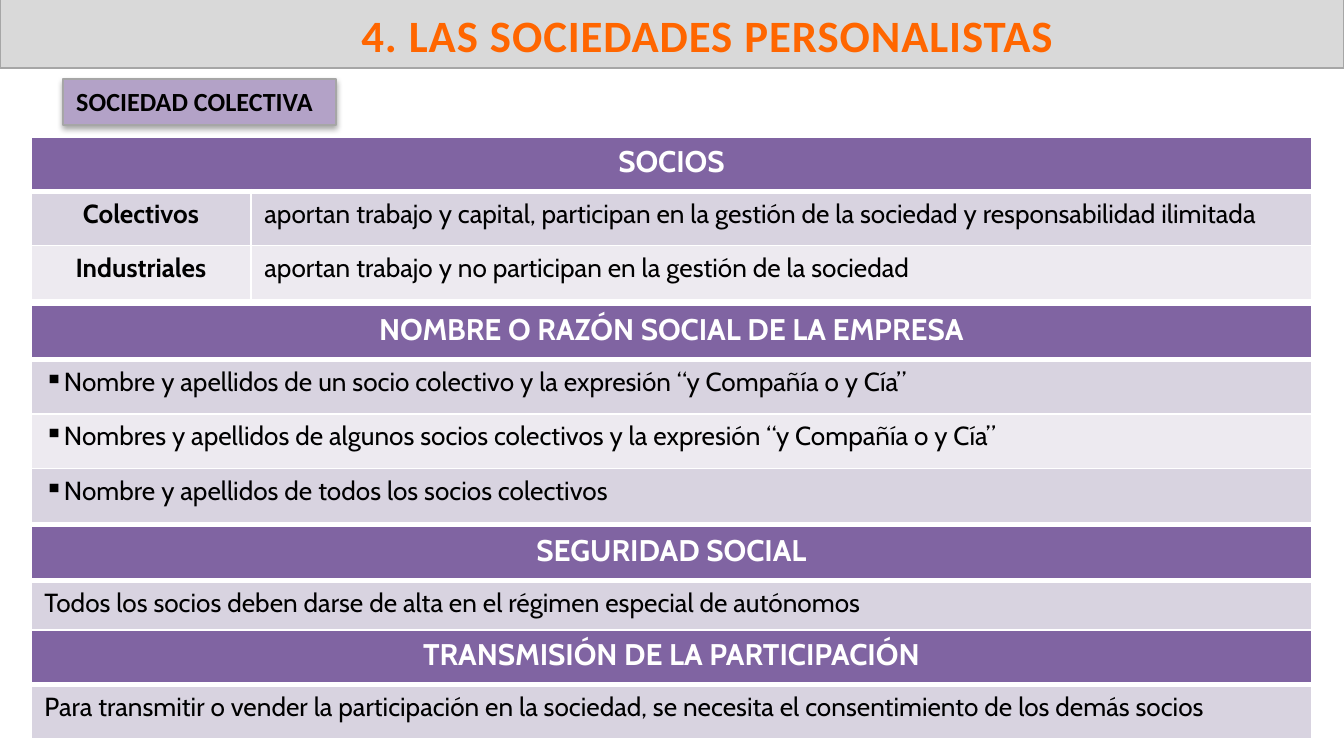
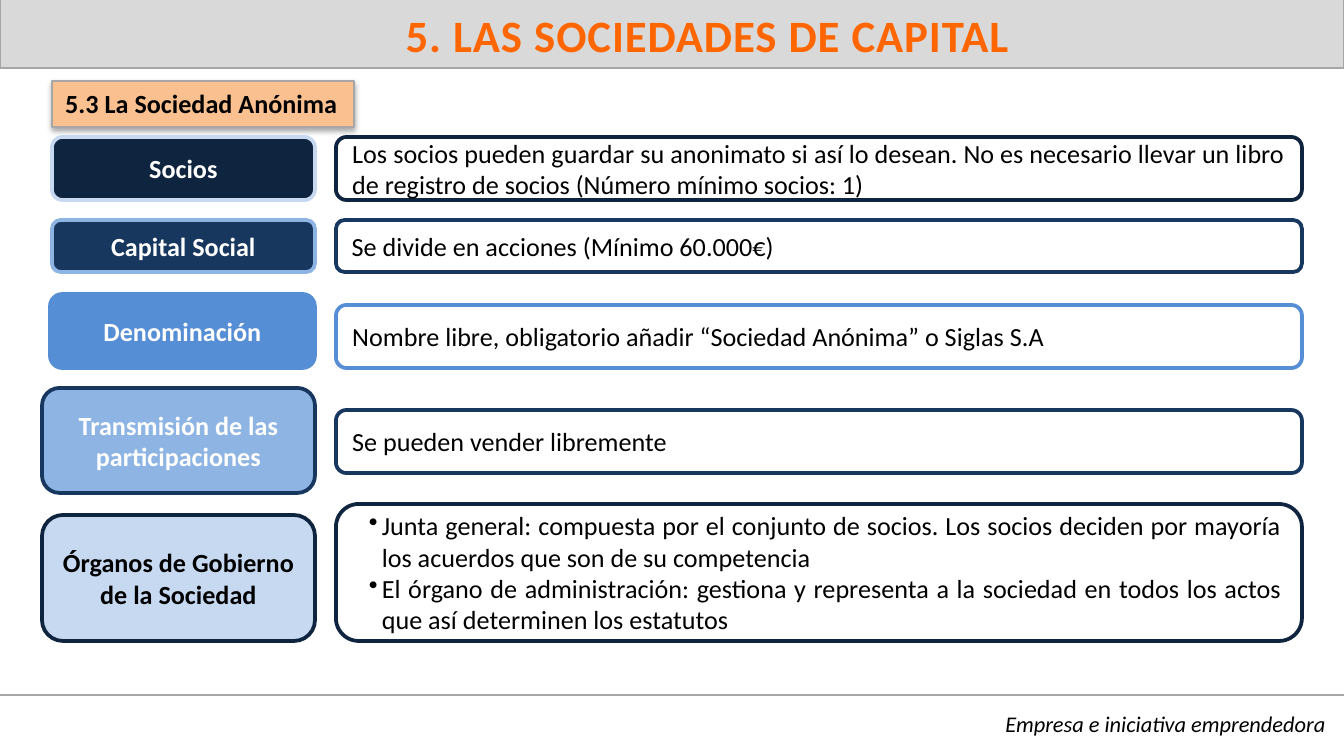
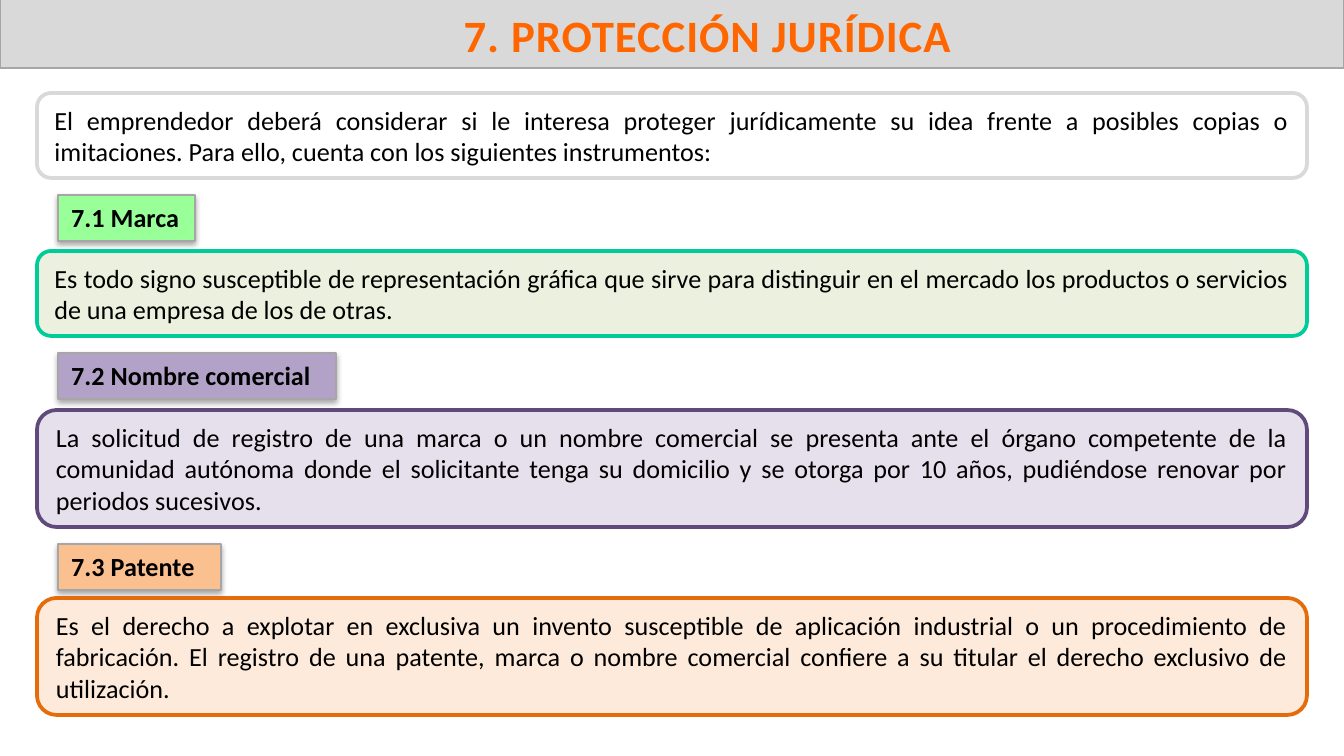
from lxml.etree import SubElement as Sub
from pptx import Presentation
from pptx.dml.color import RGBColor as RGB
from pptx.enum.shapes import MSO_CONNECTOR as Conn, MSO_SHAPE as Kind
from pptx.enum.text import MSO_ANCHOR as Anchor, MSO_AUTO_SIZE as Auto, PP_ALIGN as Align
from pptx.oxml.ns import qn
from pptx.util import Pt

SCALE = 914400 / 134.4
WIDE, HIGH = 1344, 756
BLACK, WHITE = "000000", "FFFFFF"
GREY, BAND, ORANGE = "A6A6A6", "D9D9D9", "FF6600"
HEAD, TINTS = "8064A2", ("D8D3E0", "EDEAF0")
LILAC, PEACH, GREEN = "B3A2C7", "FAC090", "99FF99"
NAVY, BLUE, MID, SKY, ICE = "0F243E", "17375E", "558ED5", "8EB4E3", "C6D9F1"
LEFT, CENTER, RIGHT, FULL = Align.LEFT, Align.CENTER, Align.RIGHT, Align.JUSTIFY

TITLE = dict(name="Calibri", size=Pt(24), bold=True)
BODY = dict(name="Calibri", size=Pt(14), bold=False)
STRONG = dict(BODY, bold=True)
FOOT = dict(name="Calibri", size=Pt(12), italic=True)
CELL = dict(name="Cabin", size=Pt(14), bold=False)
CELL_BOLD = dict(CELL, bold=True)
CELL_HEAD = dict(CELL_BOLD, size=Pt(16))


def px(*nums):
    return [round(n * SCALE) for n in nums]


def color(code):
    return RGB.from_string(code)


def put(item, vals):
    for key, val in vals.items():
        setattr(item, key, val)


def write(frame, text, font, ink=BLACK, align=LEFT, bullet=None, indent=(0, 0)):
    """Fill a frame, one paragraph per line; indent is (left, first line) in px."""
    frame.text = text
    for para in frame.paragraphs:
        para.alignment = align
        props = para._p.get_or_add_pPr()
        for key, val in zip(("marL", "indent"), px(*indent)):
            props.set(key, str(val))
        if bullet:
            Sub(props, qn("a:buChar"), char=bullet)
        for run in para.runs:
            put(run.font, font)
            run.font.color.rgb = color(ink)


def paint(shape, fill, line, width):
    if fill:
        shape.fill.solid()
        shape.fill.fore_color.rgb = color(fill)
    else:
        shape.fill.background()
    shape.line.color.rgb = color(line)
    shape.line.width = Pt(width)


def add_page(deck, text):
    slide = deck.slides.add_slide(deck.slide_layouts[5])
    title = slide.shapes.title
    put(title, dict(zip(("left", "top", "width", "height"), px(0, -1, WIDE, 69))))
    paint(title, BAND, GREY, 0.75)
    write(title.text_frame, text, TITLE, ORANGE, CENTER, indent=(71, 0))
    put(title.text_frame, dict(vertical_anchor=Anchor.BOTTOM, auto_size=Auto.NONE))
    for run in title.text_frame.paragraphs[0].runs:
        run._r.get_or_add_rPr().set("spc", "50")
    return slide


def add_tag(slide, text, left, top, width, fill):
    """Add a section label with a soft shadow."""
    tag = slide.shapes.add_shape(Kind.RECTANGLE, *px(left, top, width, 46))
    paint(tag, fill, GREY, 0.75)
    tag.shadow.inherit = False
    glow = Sub(tag._element.spPr.find(qn("a:effectLst")), qn("a:outerShdw"),
               blurRad=str(Pt(3.1)), dist=str(Pt(1.8)), dir="5400000", rotWithShape="0")
    tone = Sub(glow, qn("a:srgbClr"), val=BLACK)
    Sub(tone, qn("a:alpha"), val="35000")
    put(tag.text_frame, dict(vertical_anchor=Anchor.TOP, margin_right=0))
    write(tag.text_frame, text, STRONG)


def add_box(slide, text, spot, fill, line, font=BODY, ink=BLACK, align=FULL, **more):
    box = slide.shapes.add_shape(Kind.ROUNDED_RECTANGLE, *px(*spot))
    paint(box, fill, line, 2)
    box.shadow.inherit = False
    box.text_frame.vertical_anchor = Anchor.MIDDLE
    write(box.text_frame, text, font, ink, align, **more)


def edge(cell, sides):
    props = cell._tc.get_or_add_tcPr()
    for side, width in zip("LRTB", sides):
        line = Sub(props, qn("a:ln" + side), w=str(Pt(width)))
        Sub(Sub(line, qn("a:solidFill")), qn("a:srgbClr"), val=WHITE)


def add_grid(slide, top, high, head, rows, cols=(1281,), align=LEFT, **more):
    """Add a table with one header over all columns; text options go to the last column."""
    last = len(cols) - 1
    grid = slide.shapes.add_table(len(rows) + 1, len(cols),
                                  *px(31, top, sum(cols), high)).table
    for col, width in zip(grid.columns, px(*cols)):
        col.width = width
    if last:
        grid.cell(0, 0).merge(grid.cell(0, last))
    for r, row in enumerate([(head,) + ("",) * last] + rows):
        for c, text in enumerate(row):
            cell = grid.cell(r, c)
            edge(cell, (1, 1, 3 if r == 1 else 1, 3 if r == 0 else 1))
            cell.fill.solid()
            cell.fill.fore_color.rgb = color(TINTS[(r - 1) % 2] if r else HEAD)
            if r == 0:
                write(cell.text_frame, text, CELL_HEAD, WHITE, CENTER)
            elif c < last:
                write(cell.text_frame, text, CELL_BOLD, align=CENTER)
            else:
                write(cell.text_frame, text, CELL, align=align, **more)


def add_foot(slide, text):
    rule = slide.shapes.add_connector(Conn.STRAIGHT, *px(0, 695, WIDE, 695))
    rule.line.color.rgb = color(GREY)
    rule.line.width = Pt(0.75)
    Sub(rule._element.spPr, qn("a:effectLst"))
    note = slide.shapes.add_textbox(*px(121, 704, 1218, 41)).text_frame
    note.word_wrap = True
    write(note, text, FOOT, align=RIGHT)


def add_partners(deck):
    slide = add_page(deck, "4. LAS SOCIEDADES PERSONALISTAS")
    add_tag(slide, "SOCIEDAD COLECTIVA", 63, 79, 273, LILAC)
    add_grid(slide, 137, 163, "SOCIOS", [
        ("Colectivos", "aportan trabajo y capital, participan en la gestión de la sociedad "
                       "y responsabilidad ilimitada"),
        ("Industriales", "aportan trabajo y no participan en la gestión de la sociedad"),
    ], cols=(220, 1061))
    add_grid(slide, 305, 218, "NOMBRE O RAZÓN SOCIAL DE LA EMPRESA", [
        ("Nombre y apellidos de un socio colectivo y la expresión “y Compañía o y Cía”",),
        ("Nombres y apellidos de algunos socios colectivos y la expresión “y Compañía o y Cía”",),
        ("Nombre y apellidos de todos los socios colectivos",),
    ], bullet="▪", indent=(15, -15))
    add_grid(slide, 526, 109, "SEGURIDAD SOCIAL", [
        ("Todos los socios deben darse de alta en el régimen especial de autónomos",)])
    add_grid(slide, 630, 109, "TRANSMISIÓN DE LA PARTICIPACIÓN", [
        ("Para transmitir o vender la participación en la sociedad, se necesita el "
         "consentimiento de los demás socios",)], align=FULL)


def add_capital(deck):
    slide = add_page(deck, "5. LAS SOCIEDADES DE CAPITAL")
    add_foot(slide, "Empresa e iniciativa emprendedora")
    add_tag(slide, "5.3 La Sociedad Anónima", 52, 81, 302, PEACH)
    # name, left, top, height, fill, line, ink; text, top, height, line, format
    rows = [
        ("Socios", 52, 137, 63, NAVY, ICE, WHITE,
         "Los socios pueden guardar su anonimato si así lo desean. No es necesario llevar "
         "un libro de registro de socios (Número mínimo socios: 1)", 137, 63, NAVY, {}),
        ("Capital Social", 52, 220, 52, BLUE, SKY, WHITE,
         "Se divide en acciones (Mínimo 60.000€)", 220, 52, BLUE, {}),
        ("Denominación", 50, 294, 74, MID, MID, WHITE,
         "Nombre libre, obligatorio añadir “Sociedad Anónima” o Siglas S.A",
         305, 63, MID, {}),
        ("Transmisión de las participaciones", 42, 388, 105, SKY, BLUE, WHITE,
         "Se pueden vender libremente", 410, 63, BLUE, dict(align=LEFT)),
        ("Órganos de Gobierno de la Sociedad", 42, 515, 126, ICE, NAVY, BLACK,
         "Junta general: compuesta por el conjunto de socios. Los socios deciden por "
         "mayoría los acuerdos que son de su competencia\n"
         "El órgano de administración: gestiona y representa a la sociedad en todos los "
         "actos que así determinen los estatutos",
         504, 137, NAVY, dict(bullet="•", indent=(26, -13))),
    ]
    for name, left, top, high, fill, line, ink, text, start, tall, rim, more in rows:
        add_box(slide, name, (left, top, 315 - left, high), fill, line, STRONG, ink, CENTER)
        add_box(slide, text, (336, start, 966, tall), None, rim, **more)


def add_legal(deck):
    slide = add_page(deck, "7. PROTECCIÓN JURÍDICA")
    add_box(slide, "El emprendedor deberá considerar si le interesa proteger jurídicamente "
            "su idea frente a posibles copias o imitaciones. Para ello, cuenta con los "
            "siguientes instrumentos:", (37, 93, 1270, 85), None, BAND)
    parts = [
        ("7.1 Marca", 195, 137, GREEN, 251, 85, "EBF1DE", "00CC99",
         "Es todo signo susceptible de representación gráfica que sirve para distinguir en "
         "el mercado los productos o servicios de una empresa de los de otras."),
        ("7.2 Nombre comercial", 353, 278, LILAC, 410, 117, "E6E0EC", "604A7B",
         "La solicitud de registro de una marca o un nombre comercial se presenta ante el "
         "órgano competente de la comunidad autónoma donde el solicitante tenga su "
         "domicilio y se otorga por 10 años, pudiéndose renovar por periodos sucesivos."),
        ("7.3 Patente", 544, 163, PEACH, 598, 117, "FDEADA", "E46C0A",
         "Es el derecho a explotar en exclusiva un invento susceptible de aplicación "
         "industrial o un procedimiento de fabricación. El registro de una patente, marca o "
         "nombre comercial confiere a su titular el derecho exclusivo de utilización."),
    ]
    for name, top, width, tint, start, high, fill, line, text in parts:
        add_tag(slide, name, 58, top, width, tint)
        add_box(slide, text, (37, start, 1270, high), fill, line)


def main():
    deck = Presentation()
    deck.slide_width, deck.slide_height = px(WIDE, HIGH)
    add_partners(deck)
    add_capital(deck)
    add_legal(deck)
    deck.save("out.pptx")


if __name__ == "__main__":
    main()
